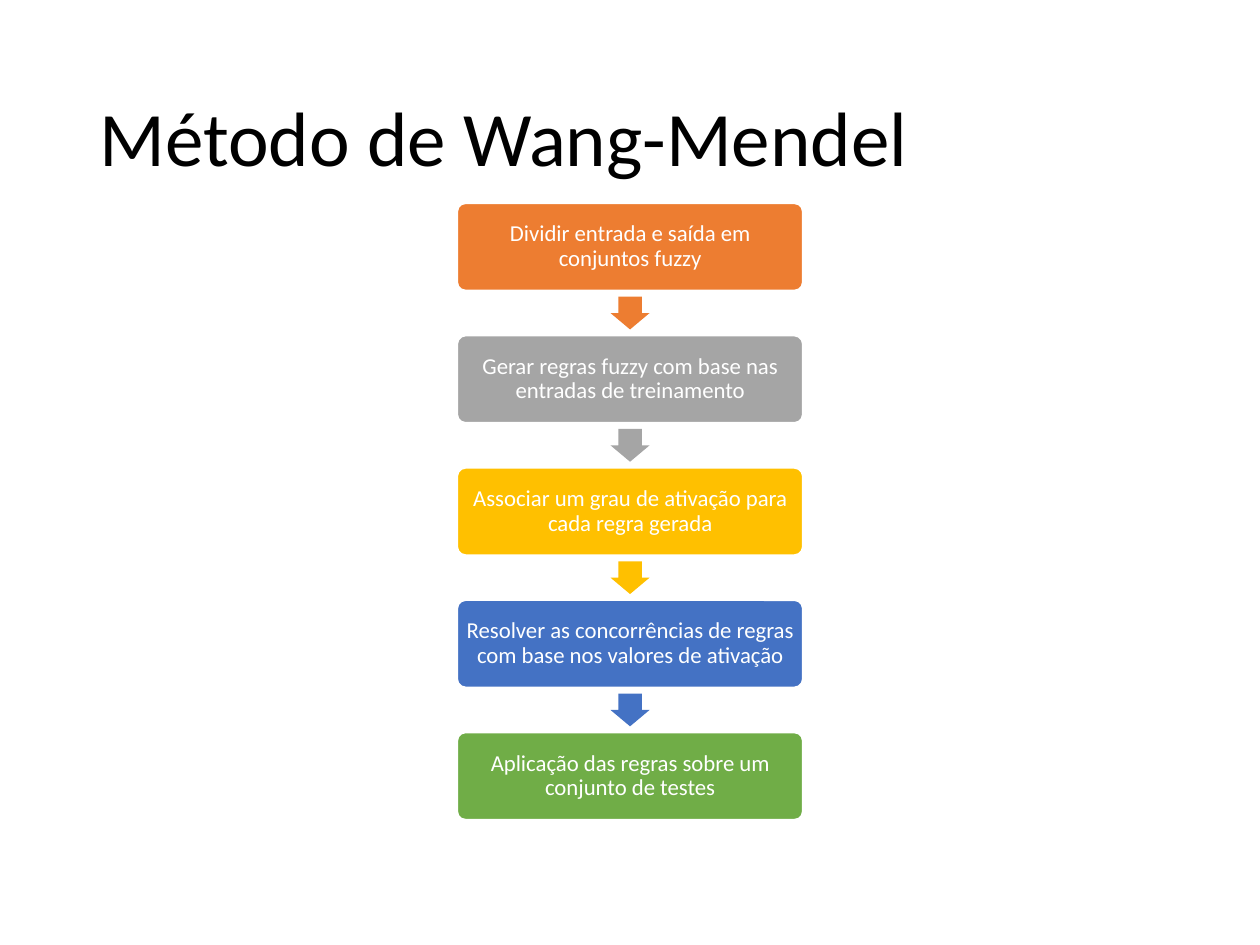
from pptx import Presentation
from pptx.dml.color import RGBColor
from pptx.enum.shapes import MSO_SHAPE
from pptx.enum.text import MSO_ANCHOR, PP_ALIGN
from pptx.util import Inches, Pt

ROUND = MSO_SHAPE.ROUNDED_RECTANGLE
ARROW = MSO_SHAPE.RIGHT_ARROW
MIDDLE = MSO_ANCHOR.MIDDLE
LEFT, CENTER = PP_ALIGN.LEFT, PP_ALIGN.CENTER

COLORS = {
    "black": "000000",
    "white": "FFFFFF",
    "orange": "ED7D31",
    "gray": "A5A5A5",
    "gold": "FFC000",
    "blue": "4472C4",
    "green": "70AD47",
}
STEPS = [
    ("Dividir entrada e saída em conjuntos fuzzy", "orange"),
    ("Gerar regras fuzzy com base nas entradas de treinamento", "gray"),
    ("Associar um grau de ativação para cada regra gerada", "gold"),
    ("Resolver as concorrências de regras com base nos valores de ativação", "blue"),
    ("Aplicação das regras sobre um conjunto de testes", "green"),
]
TOP, PITCH = 1.61, 1.05
BOX_W, BOX_H = 2.75, 0.7
ARROW_W, ARROW_H = 0.26, 0.31
MID_X = 5


def color(name):
    return RGBColor.from_string(COLORS[name])


def assign(target, values):
    for name, value in values.items():
        setattr(target, name, value)


def write(shape, text, size, ink, align, pad):
    frame = shape.text_frame
    assign(frame, {"word_wrap": True, "vertical_anchor": MIDDLE})
    assign(frame, {f"margin_{side}": Inches(gap) for side, gap in pad.items()})
    para = frame.paragraphs[0]
    assign(para, {"alignment": align, "line_spacing": 0.9})
    run = para.add_run()
    run.text = text
    assign(run.font, {"name": "Calibri", "size": Pt(size)})
    run.font.color.rgb = color(ink)


def add_title(shapes, text):
    box = shapes.add_textbox(Inches(0.69), Inches(0.4), Inches(8.62), Inches(1.45))
    pad = {"left": 0.1, "right": 0.1, "top": 0.05, "bottom": 0.05}
    write(box, text, 44, "black", LEFT, pad)


def add_solid(shapes, kind, mid_y, width, height, fill, adjust):
    shape = shapes.add_shape(
        kind, Inches(MID_X - width / 2), Inches(mid_y - height / 2),
        Inches(width), Inches(height))
    shape.shadow.inherit = False
    shape.fill.solid()
    shape.fill.fore_color.rgb = color(fill)
    for i, value in enumerate(adjust):
        shape.adjustments[i] = value
    return shape


def add_step(shapes, mid_y, text, fill):
    box = add_solid(shapes, ROUND, mid_y, BOX_W, BOX_H, fill, [0.1])
    box.line.color.rgb = color("white")
    box.line.width = Pt(1.5)
    pad = dict.fromkeys(("left", "right", "top", "bottom"), 0.05)
    write(box, text, 13, "white", CENTER, pad)


def add_arrow(shapes, mid_y, fill):
    arrow = add_solid(shapes, ARROW, mid_y, ARROW_W, ARROW_H, fill, [0.6, 0.5])
    arrow.rotation = 90
    arrow.line.fill.background()


def main():
    deck = Presentation()
    assign(deck, {"slide_width": Inches(10), "slide_height": Inches(7.5)})
    slide = deck.slides.add_slide(deck.slide_layouts[6])
    add_title(slide.shapes, "Método de Wang-Mendel")
    flow = slide.shapes.add_group_shape().shapes
    for i, (text, fill) in enumerate(STEPS):
        mid_y = TOP + BOX_H / 2 + i * PITCH
        add_step(flow, mid_y, text, fill)
        if i < len(STEPS) - 1:
            add_arrow(flow, mid_y + PITCH / 2, fill)
    deck.save("out.pptx")


if __name__ == "__main__":
    main()
